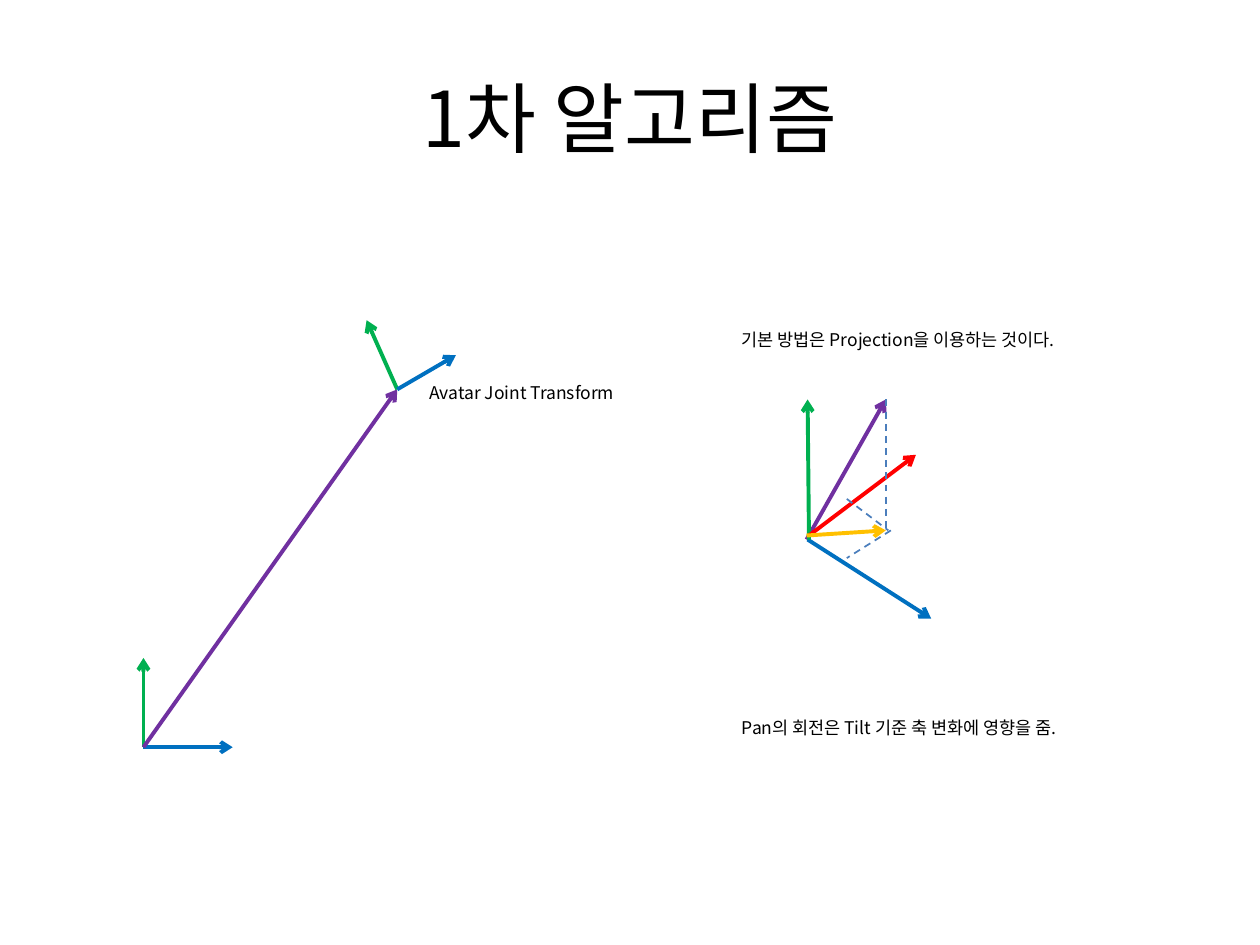
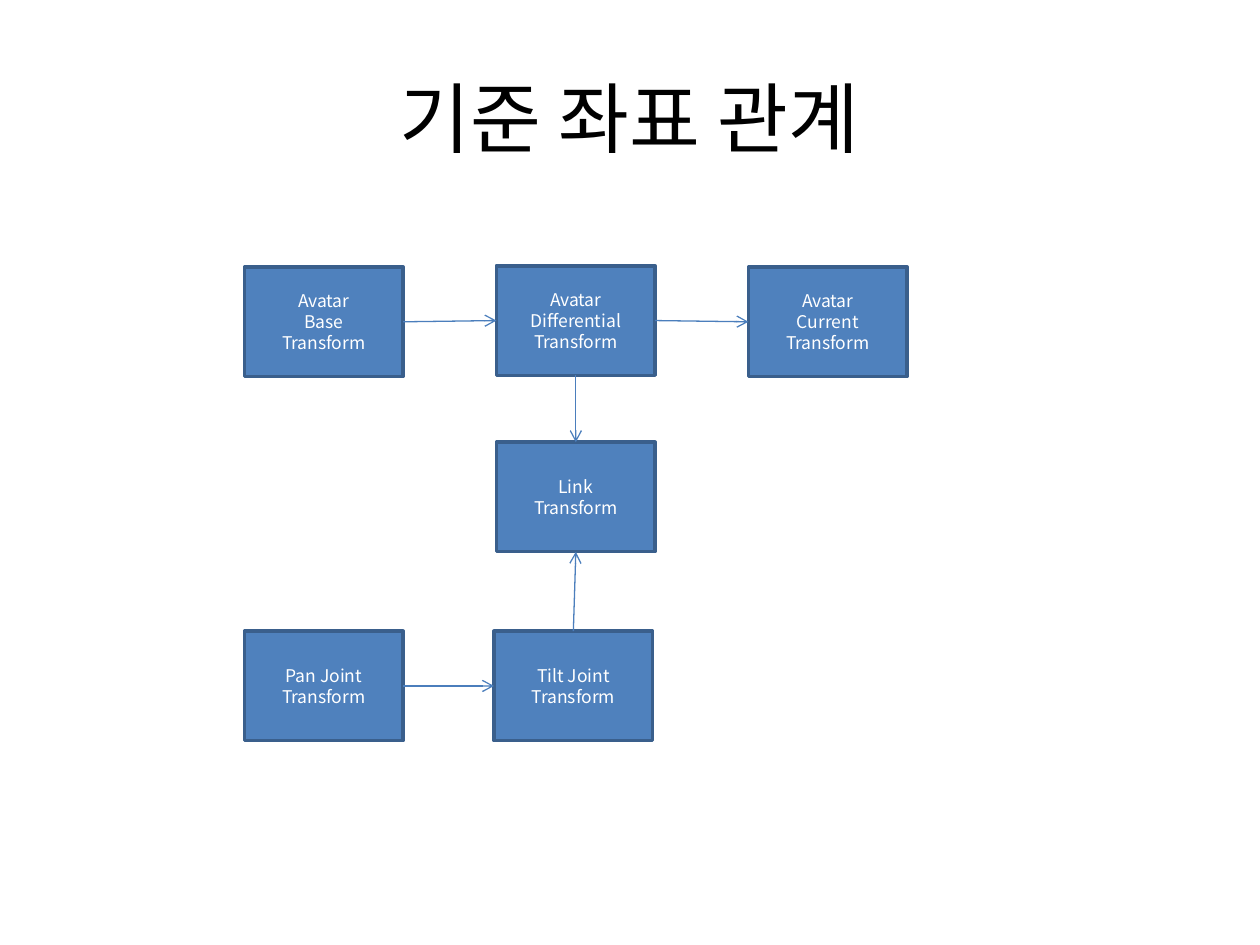
from lxml import etree
from pptx import Presentation
from pptx.dml.color import RGBColor
from pptx.enum.dml import MSO_LINE
from pptx.enum.shapes import MSO_CONNECTOR, MSO_SHAPE
from pptx.enum.text import MSO_ANCHOR, PP_ALIGN
from pptx.oxml.ns import qn
from pptx.util import Pt

FONT = "Noto Sans CJK KR"
BLACK, WHITE = "000000", "FFFFFF"
GREEN, BLUE, PURPLE = "00B050", "0070C0", "7030A0"
RED, GOLD = "FF0000", "FFC000"
LINK_LINE, BOX_FILL, BOX_EDGE = "4B7EBC", "4F81BD", "3A5F8C"
TITLE_BOX = (36, 21.6, 648, 90)
TOP, LEFT, BOTTOM, RIGHT = range(4)


def rgb(value):
    return RGBColor.from_string(value)


def write_text(sp, lines, size, color, align, anchor):
    tf = sp.text_frame
    tf.text = "\n".join(lines)
    tf.word_wrap = True
    tf.vertical_anchor = anchor
    for p in tf.paragraphs:
        p.alignment = align
        for r in p.runs:
            r.font.name = FONT
            r.font.size = Pt(size)
            r.font.color.rgb = rgb(color)
            ea = etree.SubElement(r.font._element, qn("a:ea"))
            ea.set("typeface", FONT)


def add_title(slide, text):
    sp = slide.shapes.add_textbox(*map(Pt, TITLE_BOX))
    write_text(sp, [text], 44, BLACK, PP_ALIGN.CENTER, MSO_ANCHOR.MIDDLE)


def add_label(slide, text, x, y, width):
    sp = slide.shapes.add_textbox(Pt(x), Pt(y), Pt(width), Pt(19.4))
    write_text(sp, [text], 10, BLACK, PP_ALIGN.LEFT, MSO_ANCHOR.TOP)


def add_line(slide, start, end, color, width, arrow=True):
    """Draw an arrow, or a dashed guide when arrow is False."""
    line = slide.shapes.add_connector(MSO_CONNECTOR.STRAIGHT, *map(Pt, (*start, *end)))
    line.line.color.rgb = rgb(color)
    line.line.width = Pt(width)
    if arrow:
        etree.SubElement(line.line._get_or_add_ln(), qn("a:tailEnd")).set("type", "arrow")
    else:
        line.line.dash_style = MSO_LINE.DASH
    etree.SubElement(line._element.spPr, qn("a:effectLst"))
    return line


def draw_joint_frames(slide, x, y):
    """World axes, the vector to the joint, and the joint's own axes."""
    origin, joint = (x, y + 244), (x + 145, y + 39.5)
    for start, end, color in (
        (origin, (x, y + 193), GREEN),
        (origin, (x + 51, y + 244), BLUE),
        (origin, joint, PURPLE),
        (joint, (x + 127.5, y), GREEN),
        (joint, (x + 178.5, y + 20), BLUE),
    ):
        add_line(slide, start, end, color, 2.25)
    add_label(slide, "Avatar Joint Transform", x + 156.3, y + 31.6, 127.4)


def draw_projection(slide, x, y):
    """Projection vectors and dashed guides between two captions."""
    vectors = (
        (44, 124, 89.3, 44, PURPLE),
        (44.6, 124, 115.2, 169.2, BLUE),
        (45.4, 124, 44.6, 44, GREEN),
        (45.4, 121.7, 106.5, 75.6, RED),
        (44, 121.7, 89.3, 118.8, GOLD),
    )
    guides = (
        (89.3, 44, 89.3, 120.2),
        (67, 100.8, 90.7, 118.8),
        (92.2, 118.8, 67, 134.6),
    )
    add_label(slide, "기본 방법은 Projection을 이용하는 것이다.", x, y, 221)
    for x1, y1, x2, y2, color in vectors:
        add_line(slide, (x + x1, y + y1), (x + x2, y + y2), color, 2.25)
    for x1, y1, x2, y2 in guides:
        add_line(slide, (x + x1, y + y1), (x + x2, y + y2), LINK_LINE, 1, arrow=False)
    add_label(slide, "Pan의 회전은 Tilt 기준 축 변화에 영향을 줌.", x, y + 221.8, 221)


def add_transform_box(slide, x, y, lines):
    sp = slide.shapes.add_shape(MSO_SHAPE.RECTANGLE, Pt(x), Pt(y), Pt(90.7), Pt(62.6))
    sp.shadow.inherit = False
    sp.fill.solid()
    sp.fill.fore_color.rgb = rgb(BOX_FILL)
    sp.line.color.rgb = rgb(BOX_EDGE)
    sp.line.width = Pt(2)
    write_text(sp, lines, 10, WHITE, PP_ALIGN.CENTER, MSO_ANCHOR.MIDDLE)
    return sp


def draw_transform_graph(slide, x, y):
    pitch = 144
    nodes = {
        "base": (0, 0.7, ["Avatar", "Base", "Transform"]),
        "current": (2 * pitch, 0.7, ["Avatar", "Current", "Transform"]),
        "pan": (0, 208.8, ["Pan Joint", "Transform"]),
        "tilt": (pitch - 1.4, 208.8, ["Tilt Joint", "Transform"]),
        "link": (pitch, 100.8, ["Link", "Transform"]),
        "differential": (pitch, 0, ["Avatar", "Differential", "Transform"]),
    }
    boxes = {
        name: add_transform_box(slide, x + dx, y + dy, lines)
        for name, (dx, dy, lines) in nodes.items()
    }
    for source, out_side, target, in_side in (
        ("base", RIGHT, "differential", LEFT),
        ("differential", RIGHT, "current", LEFT),
        ("pan", RIGHT, "tilt", LEFT),
        ("differential", BOTTOM, "link", TOP),
        ("tilt", TOP, "link", BOTTOM),
    ):
        line = add_line(slide, (x, y), (x, y), LINK_LINE, 0.75)
        line.begin_connect(boxes[source], out_side)
        line.end_connect(boxes[target], in_side)


def add_slide(prs, title):
    slide = prs.slides.add_slide(prs.slide_layouts[6])
    add_title(slide, title)
    return slide


def main():
    prs = Presentation()
    prs.slide_width, prs.slide_height = Pt(720), Pt(540)

    algorithm = add_slide(prs, "1차 알고리즘")
    draw_joint_frames(algorithm, 82, 183)
    draw_projection(algorithm, 416.9, 184.3)

    relations = add_slide(prs, "기준 좌표 관계")
    draw_transform_graph(relations, 139.7, 151.9)

    prs.save("out.pptx")


if __name__ == "__main__":
    main()
